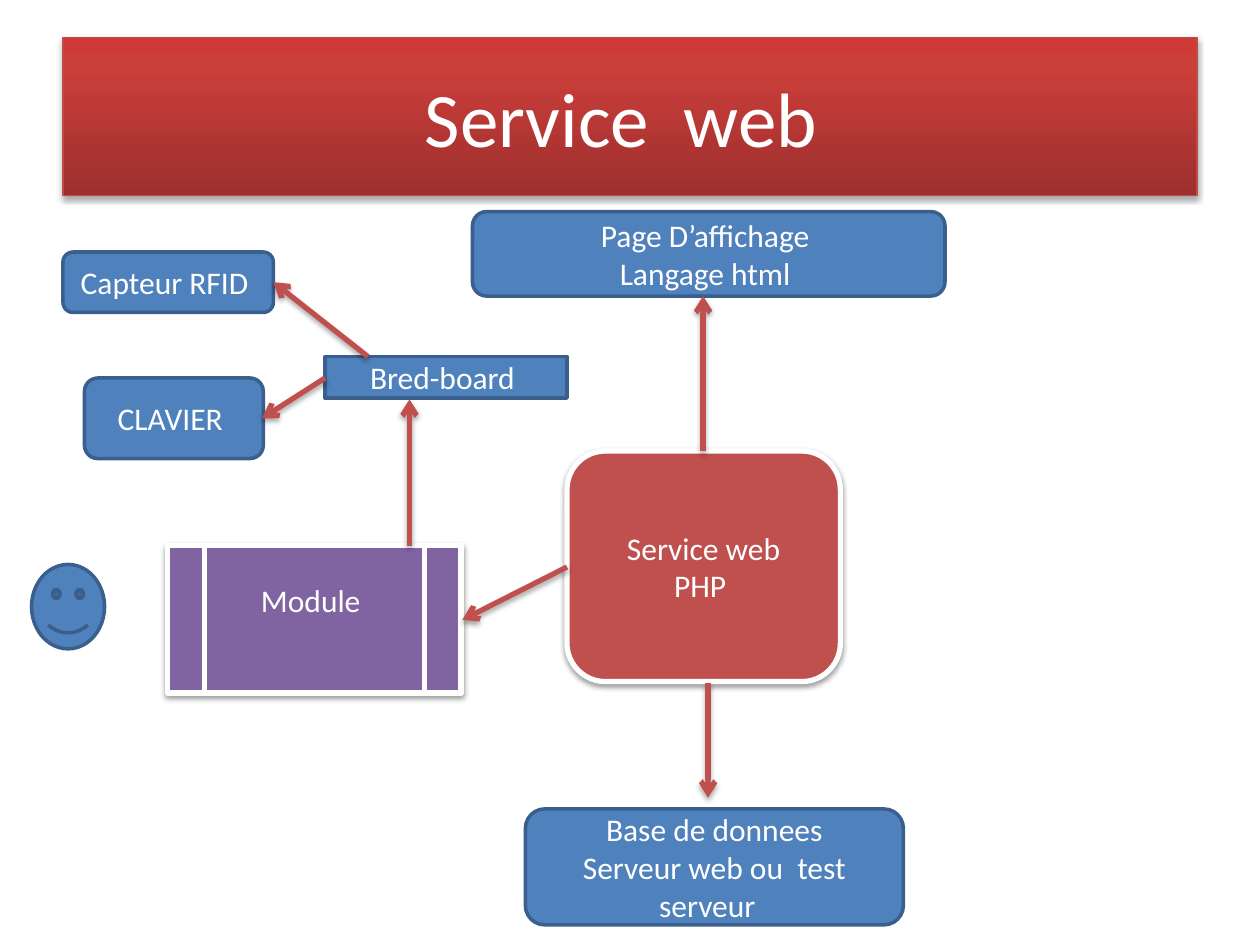
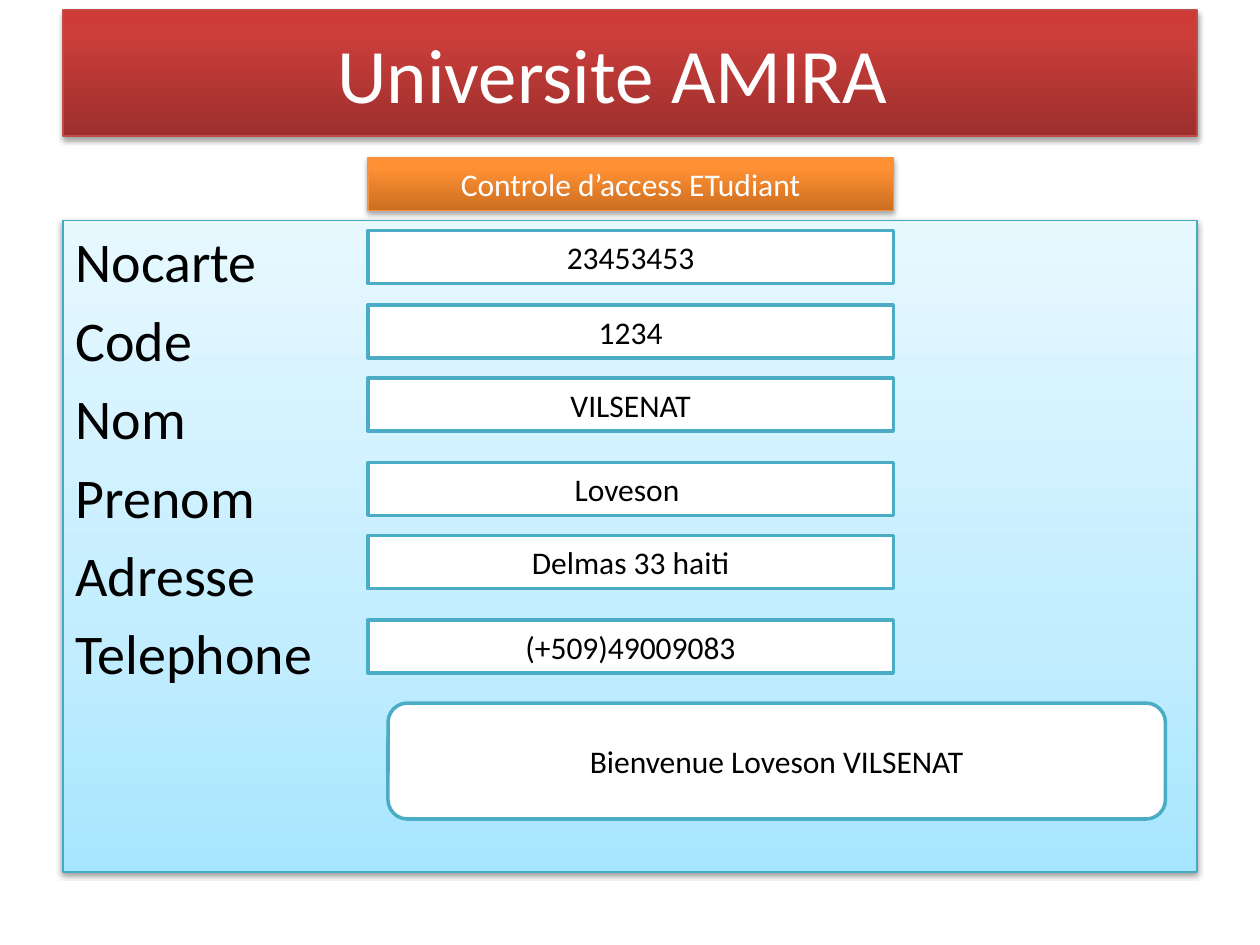
from copy import deepcopy

from lxml.etree import SubElement
from pptx import Presentation
from pptx.dml.color import RGBColor
from pptx.enum.shapes import MSO_CONNECTOR, MSO_SHAPE as SHAPE
from pptx.enum.text import MSO_ANCHOR as ANCHOR, PP_ALIGN as ALIGN
from pptx.oxml.ns import qn
from pptx.util import Inches, Pt

FONT = "Calibri"
WHITE = RGBColor(0xFF, 0xFF, 0xFF)
BLACK = RGBColor(0x00, 0x00, 0x00)
BLUE = RGBColor(0x4F, 0x81, 0xBD)
BLUE_EDGE = RGBColor(0x3A, 0x5F, 0x8C)
RED = RGBColor(0xC0, 0x50, 0x4D)
RED_EDGE = RGBColor(0xBF, 0x4C, 0x48)
PURPLE = RGBColor(0x80, 0x64, 0xA2)
ORANGE_EDGE = RGBColor(0xF6, 0x92, 0x40)
TEAL = RGBColor(0x4B, 0xAC, 0xC6)
TEAL_EDGE = RGBColor(0x46, 0xAA, 0xC5)
RED_FADE = [(0, RGBColor(0x9C, 0x2F, 0x2D)), (0.8, RGBColor(0xCB, 0x3E, 0x3A)),
            (1, RGBColor(0xCE, 0x3B, 0x37))]
ORANGE_FADE = [(0, RGBColor(0xCC, 0x6E, 0x20)), (0.8, RGBColor(0xFF, 0x90, 0x34)),
               (1, RGBColor(0xFF, 0x91, 0x36))]
SKY_FADE = [(0, RGBColor(0xA7, 0xE6, 0xFF)), (0.35, RGBColor(0xC1, 0xED, 0xFF)),
            (1, RGBColor(0xE7, 0xF8, 0xFF))]


def write(shape, text, size=18, color=WHITE, align=ALIGN.CENTER,
          anchor=ANCHOR.MIDDLE, bottom=0.05):
    frame = shape.text_frame
    frame.word_wrap = True
    frame.vertical_anchor = anchor
    frame.margin_bottom = Inches(bottom)
    frame.text = text
    for paragraph in frame.paragraphs:
        paragraph.alignment = align
        for run in paragraph.runs:
            run.font.name = FONT
            run.font.size = Pt(size)
            run.font.color.rgb = color


def dress(shape, fill=None, edge=RED, width=3, shadow=0):
    shape.line.color.rgb = edge
    shape.line.width = Pt(width)
    properties = shape._element.spPr
    if isinstance(fill, list):
        shape.fill.gradient()
        shape.fill.gradient_angle = 90
        stop_list = properties.find(".//" + qn("a:gsLst"))
        stop_list.append(deepcopy(stop_list[0]))
        for stop, (position, color) in zip(shape.fill.gradient_stops, fill):
            stop.position = position
            stop.color.rgb = color
    elif fill is not None:
        shape.fill.solid()
        shape.fill.fore_color.rgb = fill
    effects = SubElement(properties, qn("a:effectLst"))
    if shadow:
        distance = Inches(0.025) if shadow == 35 else Inches(0.022)
        cast = SubElement(effects, qn("a:outerShdw"), blurRad=str(Pt(3.1)),
                          dist=str(distance), dir="5400000", rotWithShape="0")
        black = SubElement(cast, qn("a:srgbClr"), val="000000")
        SubElement(black, qn("a:alpha"), val=str(shadow * 1000))


deck = Presentation()
deck.slide_width, deck.slide_height = Inches(10), Inches(7.5)
service = deck.slides.add_slide(deck.slide_layouts[5])
student = deck.slides.add_slide(deck.slide_layouts[1])

for slide, heading, top, height in [(service, "Service  web ", 0.3, 1.25),
                                    (student, "Universite AMIRA  ", 0.08, 1)]:
    band = slide.shapes.title
    band.left, band.top = Inches(0.5), Inches(top)
    band.width, band.height = Inches(9), Inches(height)
    dress(band, RED_FADE, RED_EDGE, 0.75, 35)
    write(band, heading, size=44)

blue_nodes = [
    (SHAPE.ROUNDED_RECTANGLE, "Base de donnees\nServeur web ou  test serveur  ", 4.17, 6.42, 3, 0.92),
    (SHAPE.ROUNDED_RECTANGLE, "Page D’affichage \nLangage html ", 3.75, 1.68, 3.75, 0.67),
    (SHAPE.ROUNDED_RECTANGLE, "Capteur RFID ", 0.5, 2, 1.67, 0.48),
    (SHAPE.ROUNDED_RECTANGLE, "CLAVIER ", 0.67, 3, 1.42, 0.64),
    (SHAPE.RECTANGLE, "Bred-board ", 2.58, 2.83, 1.92, 0.33),
    (SHAPE.SMILEY_FACE, "", 0.25, 4.48, 0.58, 0.67),
]
for kind, label, *box in blue_nodes:
    node = service.shapes.add_shape(kind, *map(Inches, box))
    dress(node, BLUE, BLUE_EDGE, 2)
    if label:
        write(node, label)

framed_nodes = [
    (SHAPE.ROUNDED_RECTANGLE, "Service web\nPHP ", RED, 0.05, 4.5, 3.58, 2.17, 1.83),
    (SHAPE.FLOWCHART_PREDEFINED_PROCESS, "Module ", PURPLE, 0.35, 1.33, 4.33, 2.33, 1.17),
]
for kind, label, color, bottom, *box in framed_nodes:
    node = service.shapes.add_shape(kind, *map(Inches, box))
    dress(node, color, WHITE, 3, 38)
    write(node, label, bottom=bottom)

flows = [
    (5.62, 5.42, 5.62, 6.33),
    (5.58, 3.58, 5.58, 2.35),
    (4.5, 4.5, 3.67, 4.92),
    (3.25, 4.33, 3.25, 3.17),
    (2.58, 3, 2.08, 3.32),
    (2.92, 2.83, 2.17, 2.24),
]
for ends in flows:
    flow = service.shapes.add_connector(MSO_CONNECTOR.STRAIGHT, *map(Inches, ends))
    dress(flow, shadow=35)
    SubElement(flow.line._get_or_add_ln(), qn("a:tailEnd"), type="arrow")

form = student.placeholders[1]
form.left, form.top = Inches(0.5), Inches(1.75)
form.width, form.height = Inches(9), Inches(5.17)
dress(form, SKY_FADE, TEAL_EDGE, 0.75, 38)
write(form, "Nocarte\nCode\nNom\nPrenom\nAdresse\nTelephone", size=32,
      color=BLACK, align=ALIGN.LEFT, anchor=ANCHOR.TOP)
for paragraph in form.text_frame.paragraphs:
    layout = paragraph._p.get_or_add_pPr()
    layout.set("marL", "0")
    layout.set("indent", "0")
    SubElement(layout, qn("a:buNone"))

FIELD_LEFT, FIELD_WIDTH, FIELD_HEIGHT = Inches(2.92), Inches(4.17), Inches(0.42)
caption = student.shapes.add_shape(SHAPE.RECTANGLE, FIELD_LEFT, Inches(1.25),
                                   FIELD_WIDTH, FIELD_HEIGHT)
dress(caption, ORANGE_FADE, ORANGE_EDGE, 0.75, 35)
write(caption, "Controle d’access ETudiant")

fields = [("23453453", 1.83), ("1234", 2.42), ("VILSENAT", 3), ("Loveson ", 3.67),
          ("Delmas 33 haiti", 4.25), ("(+509)49009083", 4.92)]
for value, top in fields:
    field = student.shapes.add_shape(SHAPE.RECTANGLE, FIELD_LEFT, Inches(top),
                                     FIELD_WIDTH, FIELD_HEIGHT)
    dress(field, WHITE, TEAL, 2)
    write(field, value, color=BLACK)

welcome = student.shapes.add_shape(SHAPE.ROUNDED_RECTANGLE, Inches(3.08), Inches(5.58),
                                   Inches(6.17), Inches(0.92))
dress(welcome, WHITE, TEAL, 2)
write(welcome, "Bienvenue Loveson VILSENAT", color=BLACK)

deck.save("out.pptx")
